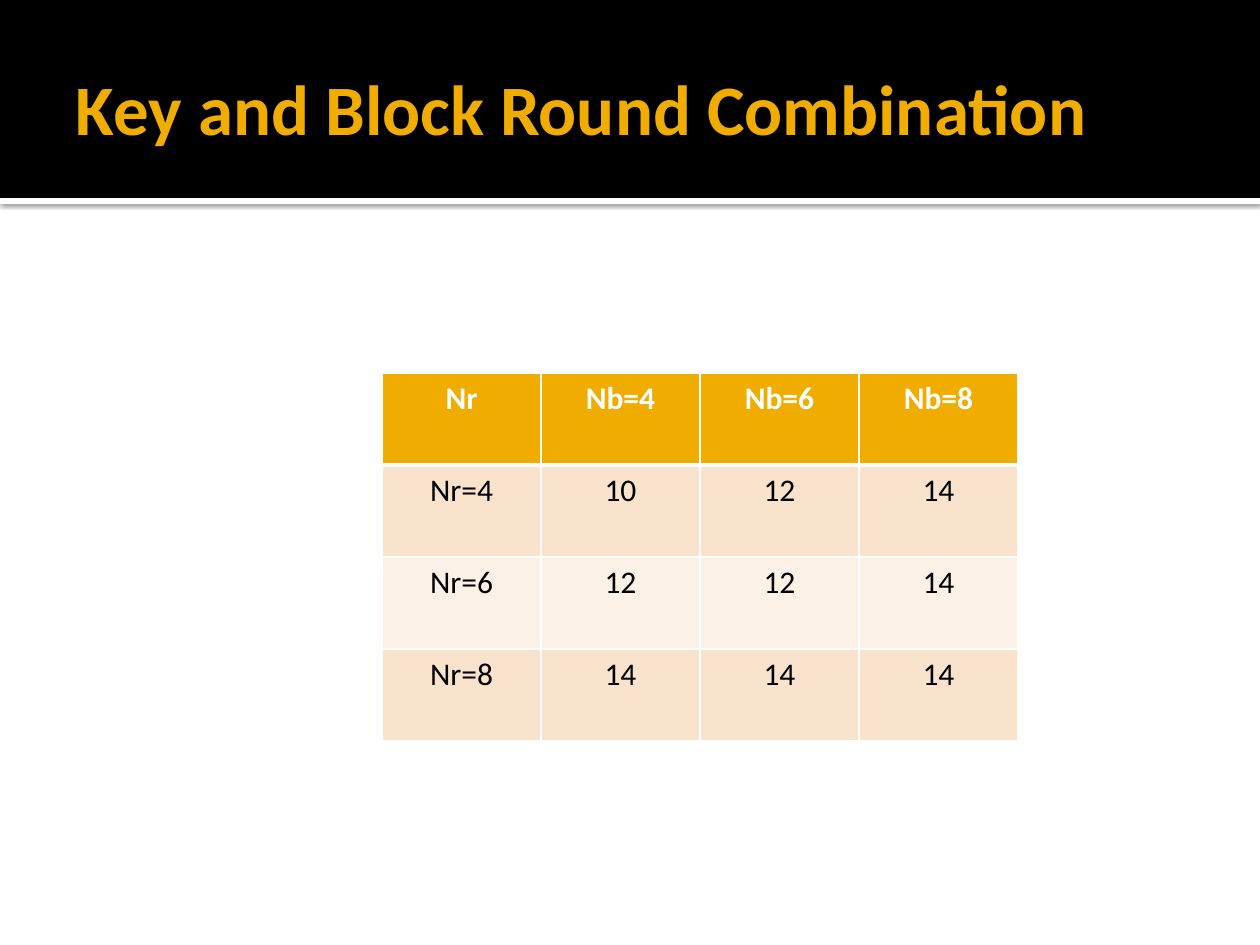
from dataclasses import dataclass

from lxml.etree import SubElement
from pptx import Presentation
from pptx.dml.color import RGBColor
from pptx.enum.shapes import MSO_SHAPE
from pptx.enum.text import MSO_ANCHOR, MSO_AUTO_SIZE, PP_ALIGN
from pptx.oxml import parse_xml
from pptx.oxml.ns import nsdecls, qn
from pptx.util import Pt

EMU_PER_PX = 914400 / 126


def px(length):
    return round(length * EMU_PER_PX)


@dataclass(frozen=True)
class Theme:
    font: str = "Calibri"
    accent: str = "F0AD00"
    dark: str = "000000"
    light: str = "FFFFFF"
    stripes: tuple = ("F9E3CC", "FCF1E7")
    title_size: float = 40.5
    table_size: int = 18
    grid_width: int = 1
    header_rule_width: int = 3


class SlideBuilder:
    def __init__(self, slide, theme):
        self.slide = slide
        self.theme = theme

    def style_text(self, paragraph, size, color, bold, align):
        paragraph.alignment = align
        for run in paragraph.runs:
            run.font.name = self.theme.font
            run.font.size = Pt(size)
            run.font.bold = bold
            run.font.color.rgb = RGBColor.from_string(color)

    def band(self, left, top, width, height, color):
        band = self.slide.shapes.add_shape(
            MSO_SHAPE.RECTANGLE, px(left), px(top), px(width), px(height))
        band.shadow.inherit = False
        band.fill.solid()
        band.fill.fore_color.rgb = RGBColor.from_string(color)
        band.line.fill.background()
        return band

    def shadow(self, shape, blur, distance, opacity):
        effects = shape.element.spPr.find(qn("a:effectLst"))
        outer = SubElement(effects, qn("a:outerShdw"), blurRad=str(Pt(blur)),
                           dist=str(Pt(distance)), dir="5400000", rotWithShape="0")
        color = SubElement(outer, qn("a:srgbClr"), val=self.theme.dark)
        SubElement(color, qn("a:alpha"), val=str(opacity * 1000))

    def title(self, text, left, top, width, height):
        title = self.slide.shapes.title
        title.left, title.top = px(left), px(top)
        title.width, title.height = px(width), px(height)
        frame = title.text_frame
        frame.text = text
        frame.word_wrap = True
        frame.auto_size = MSO_AUTO_SIZE.NONE
        frame.vertical_anchor = MSO_ANCHOR.MIDDLE
        frame.margin_left = px(13)
        frame.margin_right = frame.margin_top = frame.margin_bottom = px(6)
        self.style_text(frame.paragraphs[0], self.theme.title_size,
                        self.theme.accent, True, PP_ALIGN.LEFT)
        self.slide.shapes.element.append(title.element)

    def borders(self, cell, top, bottom):
        properties = cell._tc.get_or_add_tcPr()
        grid = self.theme.grid_width
        sides = (("lnL", grid), ("lnR", grid), ("lnT", top), ("lnB", bottom))
        for position, (side, width) in enumerate(sides):
            properties.insert(position, parse_xml(
                f'<a:{side} {nsdecls("a")} w="{Pt(width)}"><a:solidFill>'
                f'<a:srgbClr val="{self.theme.light}"/></a:solidFill></a:{side}>'))

    def table(self, rows, left, top, column_width, row_height):
        theme = self.theme
        columns = len(rows[0])
        table = self.slide.shapes.add_table(
            len(rows), columns, px(left), px(top),
            px(column_width * columns), px(row_height * len(rows))).table
        for column in table.columns:
            column.width = px(column_width)
        for row_index, values in enumerate(rows):
            table.rows[row_index].height = px(row_height)
            header = row_index == 0
            fill = theme.accent if header else theme.stripes[(row_index - 1) % 2]
            top_rule = theme.header_rule_width if row_index == 1 else theme.grid_width
            bottom_rule = theme.header_rule_width if header else theme.grid_width
            for column_index, value in enumerate(values):
                cell = table.cell(row_index, column_index)
                cell.text_frame.text = value
                cell.fill.solid()
                cell.fill.fore_color.rgb = RGBColor.from_string(fill)
                self.style_text(cell.text_frame.paragraphs[0], theme.table_size,
                                theme.light if header else theme.dark,
                                header, PP_ALIGN.CENTER)
                self.borders(cell, top_rule, bottom_rule)


def main():
    presentation = Presentation()
    presentation.slide_width, presentation.slide_height = px(1260), px(945)
    theme = Theme()
    slide = presentation.slides.add_slide(presentation.slide_layouts[5])
    builder = SlideBuilder(slide, theme)

    title_rule = builder.band(0, 198, 1260, 6, theme.light)
    builder.shadow(title_rule, blur=2.5, distance=0.8, opacity=60)
    builder.band(0, 0, 1260, 198, theme.dark)
    builder.title("Key and Block Round Combination", 63, 21, 1134, 173)

    round_counts = [
        ("Nr", "Nb=4", "Nb=6", "Nb=8"),
        ("Nr=4", "10", "12", "14"),
        ("Nr=6", "12", "12", "14"),
        ("Nr=8", "14", "14", "14"),
    ]
    builder.table(round_counts, 382, 373, column_width=159, row_height=92)
    presentation.save("out.pptx")


if __name__ == "__main__":
    main()
